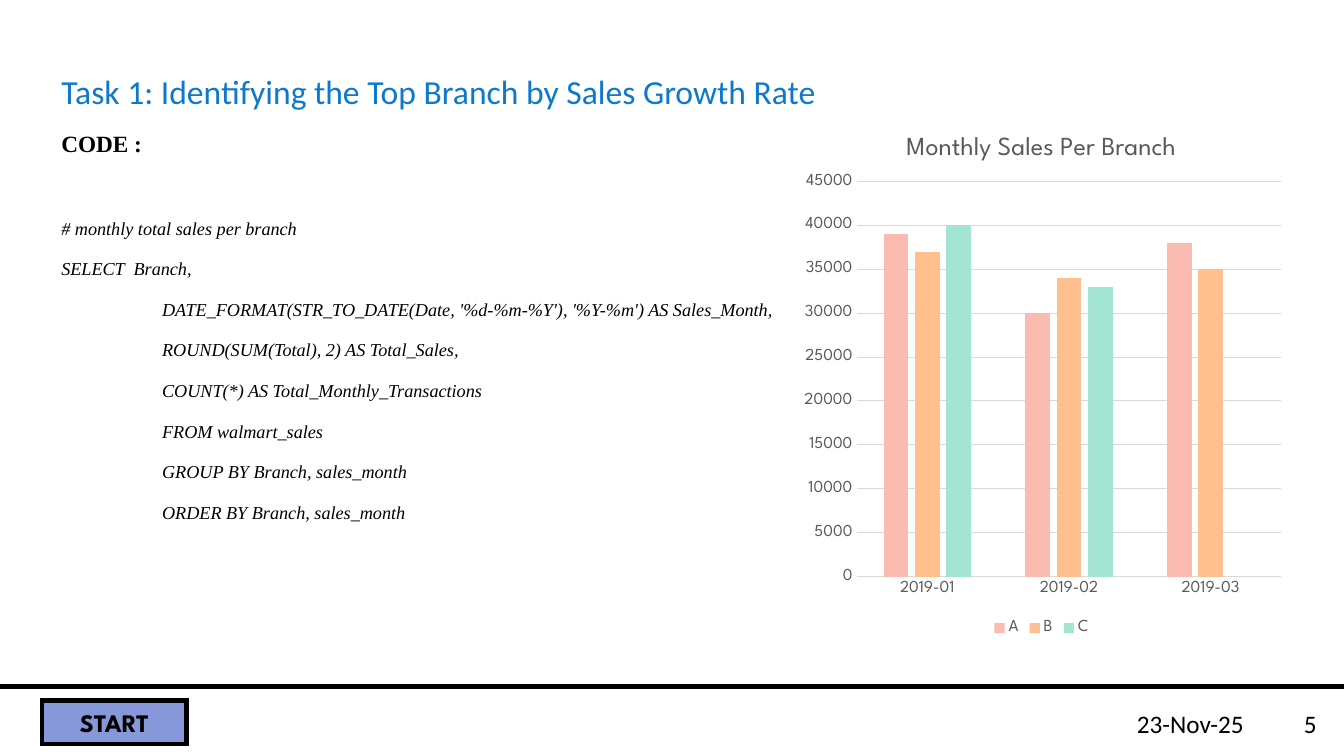
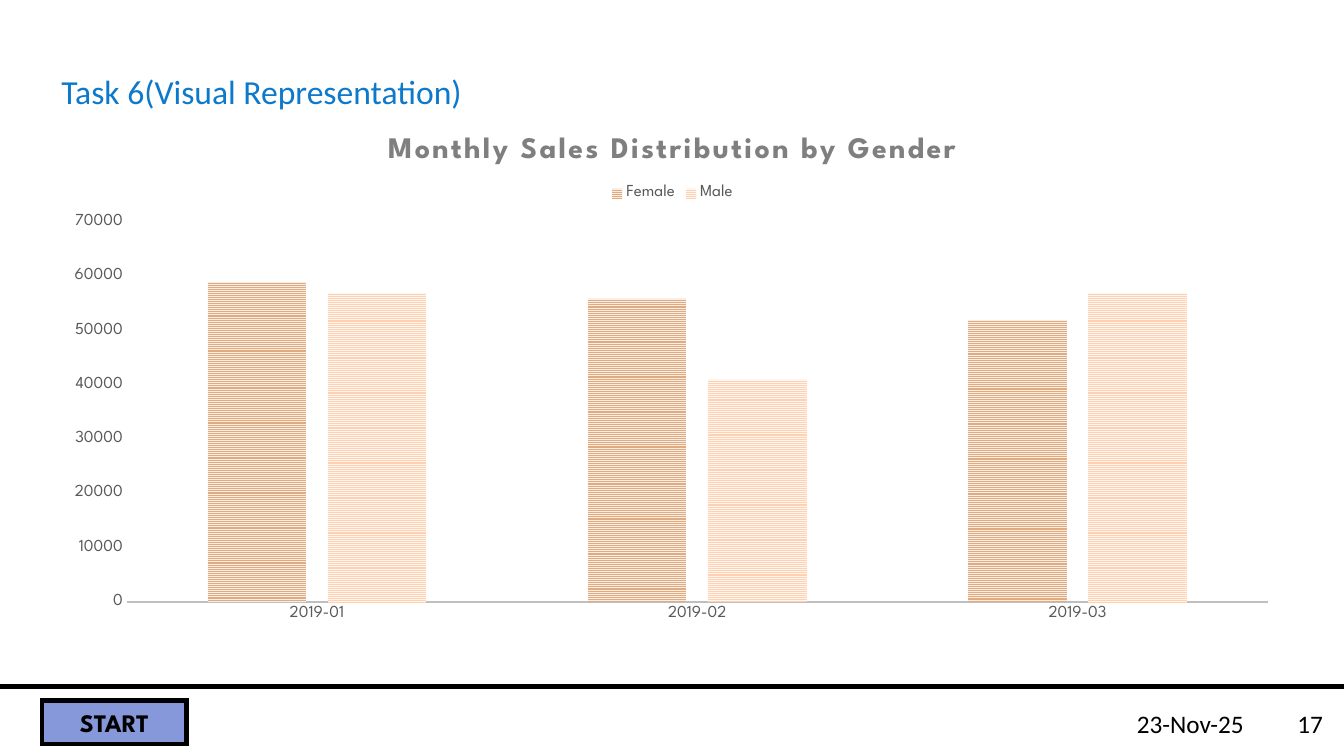
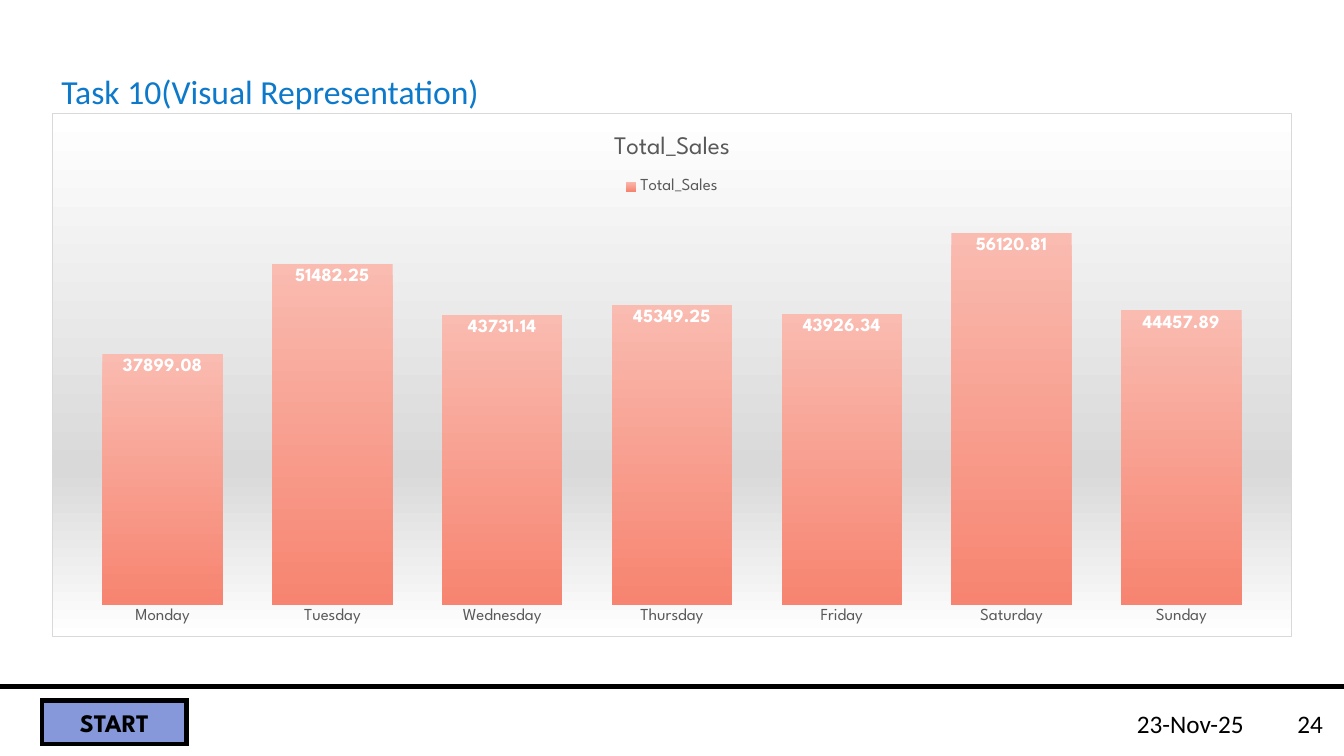
from lxml import etree
from pptx import Presentation
from pptx.chart.data import CategoryChartData
from pptx.dml.color import RGBColor
from pptx.enum.chart import XL_CHART_TYPE, XL_LABEL_POSITION, XL_LEGEND_POSITION, XL_TICK_MARK
from pptx.enum.dml import MSO_PATTERN
from pptx.enum.shapes import MSO_CONNECTOR, MSO_SHAPE
from pptx.enum.text import MSO_ANCHOR, MSO_AUTO_SIZE, PP_ALIGN
from pptx.oxml import parse_xml
from pptx.oxml.ns import nsdecls, qn
from pptx.util import Inches, Pt

COLUMN = XL_CHART_TYPE.COLUMN_CLUSTERED
TOP, BOTTOM = XL_LEGEND_POSITION.TOP, XL_LEGEND_POSITION.BOTTOM
NO_TICK = XL_TICK_MARK.NONE
LEFT, CENTER = PP_ALIGN.LEFT, PP_ALIGN.CENTER
MIDDLE = MSO_ANCHOR.MIDDLE

BLACK = RGBColor(0x00, 0x00, 0x00)
WHITE = RGBColor(0xFF, 0xFF, 0xFF)
BLUE = RGBColor(0x0D, 0x79, 0xCA)
VIOLET = RGBColor(0x86, 0x98, 0xDA)
GREY = RGBColor(0x59, 0x59, 0x59)
MID = RGBColor(0x7F, 0x7F, 0x7F)
SILVER = RGBColor(0xBF, 0xBF, 0xBF)
PALE = RGBColor(0xD9, 0xD9, 0xD9)
PINK = RGBColor(0xFA, 0xBB, 0xB0)
CORAL = RGBColor(0xF6, 0x84, 0x70)
PEACH = RGBColor(0xFF, 0xBF, 0x8F)
MINT = RGBColor(0xA4, 0xE4, 0xD2)
TAN = RGBColor(0xE2, 0xAA, 0x7F)
CREAM = RGBColor(0xF9, 0xEE, 0xE5)
SAND = RGBColor(0xFF, 0xD0, 0xB1)
IVORY = RGBColor(0xFF, 0xF6, 0xEF)

BODY, BRAND, SERIF = "Calibri", "League Spartan", "Times New Roman"
MONTHS = ["2019-01", "2019-02", "2019-03"]
DAYS = ["Monday", "Tuesday", "Wednesday", "Thursday", "Friday", "Saturday", "Sunday"]

# Plot areas are fractions of the chart: left, top, width, height.
PAGES = [
    dict(head="Task 1: Identifying the Top Branch by Sales Growth Rate", page="5",
         name="Monthly Sales Per Branch", style=dict(size=18.6, color=GREY),
         box=(7.85, 1.12, 4.96, 5.23), plot=(0.13, 0.13, 0.85, 0.75),
         cats=MONTHS, top=45000, gap=219, lap=-27, legend=BOTTOM,
         series={"A": (39000, 30000, 38000), "B": (37000, 34000, 35000),
                 "C": (40000, 33000, None)}),
    dict(head="Task 6(Visual Representation)", page="17",
         name="Monthly Sales Distribution by Gender",
         style=dict(size=21.3, color=MID, bold=True, space=180),
         box=(0.52, 1.12, 12.3, 5.16), plot=(0.06, 0.21, 0.92, 0.73),
         cats=MONTHS, top=70000, gap=164, lap=-22, legend=TOP,
         series={"Female": (59000, 56000, 52000), "Male": (57000, 41000, 57000)}),
    dict(head="Task 10(Visual Representation)", page="24",
         name="Total_Sales", style=dict(size=18, color=GREY),
         box=(0.52, 1.12, 12.29, 5.2), plot=(0.02, 0.18, 0.96, 0.76),
         cats=DAYS, top=60000, gap=41, lap=0, legend=TOP,
         series={"Total_Sales": (37899.08, 51482.25, 43731.14, 45349.25,
                                 43926.34, 56120.81, 44457.89)}),
]
CODE = [
    "# monthly total sales per branch",
    "SELECT  Branch,",
    "\tDATE_FORMAT(STR_TO_DATE(Date, '%d-%m-%Y'), '%Y-%m') AS Sales_Month,",
    "\tROUND(SUM(Total), 2) AS Total_Sales,",
    "\tCOUNT(*) AS Total_Monthly_Transactions",
    "\tFROM walmart_sales",
    "\tGROUP BY Branch, sales_month",
    "\tORDER BY Branch, sales_month",
]
CLEAR = "<a:noFill/><a:ln><a:noFill/></a:ln>"
SHADE = (
    '<a:gradFill><a:gsLst>'
    '<a:gs pos="0"><a:srgbClr val="FFFFFF"/></a:gs>'
    '<a:gs pos="68000"><a:srgbClr val="D9D9D9"/></a:gs>'
    '<a:gs pos="100000"><a:srgbClr val="FFFFFF"/></a:gs>'
    '</a:gsLst><a:lin ang="5400000" scaled="0"/></a:gradFill>'
    '<a:ln w="9525"><a:solidFill><a:srgbClr val="D9D9D9"/></a:solidFill></a:ln>'
)


def write(para, text, size=18, font=BODY, color=BLACK, bold=False, italic=False,
          align=None, line=None, before=None, space=None, tab=None):
    """Add one formatted run to a paragraph; space is tracking in 1/100 pt."""
    if align is not None:
        para.alignment = align
    if line is not None:
        para.line_spacing = line
    if before is not None:
        para.space_before = before
    if tab is not None:
        tabs = etree.SubElement(para._p.get_or_add_pPr(), qn("a:tabLst"))
        etree.SubElement(tabs, qn("a:tab"), pos=str(tab), algn="l")
    run = para.add_run()
    run.text = text
    run.font.size, run.font.name = Pt(size), font
    run.font.bold, run.font.italic = bold, italic
    run.font.color.rgb = color
    if space is not None:
        run.font._element.set("spc", str(space))


def dress(chart, plot, area):
    """Fix the inner plot area and the chart background."""
    parts = "".join(f'<c:{tag} val="{val}"/>' for tag, val in zip("xywh", plot))
    inner = parse_xml(
        f'<c:layout {nsdecls("c")}><c:manualLayout><c:layoutTarget val="inner"/>'
        f'<c:xMode val="edge"/><c:yMode val="edge"/>{parts}</c:manualLayout></c:layout>')
    root = chart.element.find(qn("c:chart"))
    zone = root.find(qn("c:plotArea"))
    for old in zone.findall(qn("c:layout")):
        zone.remove(old)
    zone.insert(0, inner)
    root.addnext(parse_xml(f'<c:spPr {nsdecls("c", "a")}>{area}</c:spPr>'))


deck = Presentation()
deck.slide_width, deck.slide_height = Inches(13.33), Inches(7.5)
layout = deck.slide_layouts[5]
slides, charts = [], []

for page in PAGES:
    slide = deck.slides.add_slide(layout)
    shapes = slide.shapes

    # Footer
    rule = shapes.add_connector(MSO_CONNECTOR.STRAIGHT, 0, Inches(6.81),
                                Inches(13.33), Inches(6.81))
    rule.line.color.rgb, rule.line.width = BLACK, Pt(3)
    etree.SubElement(rule._element.spPr, qn("a:effectLst"))

    start = shapes.add_shape(MSO_SHAPE.RECTANGLE, Inches(0.42), Inches(6.95),
                             Inches(1.43), Inches(0.43))
    start.shadow.inherit = False
    start.fill.solid()
    start.fill.fore_color.rgb = VIOLET
    start.line.color.rgb, start.line.width = BLACK, Pt(3)
    etree.SubElement(start.line._get_or_add_ln(), qn("a:miter"), lim="800000")
    start.text_frame.vertical_anchor = MIDDLE
    write(start.text_frame.paragraphs[0], "START", font=BRAND, bold=True, align=CENTER)

    for text, left, width in (("23-Nov-25", 10.95, 1.71), (page["page"], 12.66, 0.67)):
        frame = shapes.add_textbox(Inches(left), Inches(6.81),
                                   Inches(width), Inches(0.69)).text_frame
        frame.word_wrap = True
        frame.vertical_anchor = MIDDLE
        frame.margin_top = Inches(0.1)
        write(frame.paragraphs[0], text, align=CENTER)

    # Title
    title = shapes.title
    title.left, title.top = Inches(0.51), Inches(0.58)
    title.width, title.height = Inches(12.3), Inches(0.54)
    frame = title.text_frame
    frame.auto_size = MSO_AUTO_SIZE.NONE
    frame.vertical_anchor = MIDDLE
    frame.margin_top, frame.margin_bottom = Inches(0.2), Inches(0.05)
    write(frame.paragraphs[0], page["head"], size=24, color=BLUE, align=LEFT, line=0.9)

    # Chart
    data = CategoryChartData()
    data.categories = page["cats"]
    for name, vals in page["series"].items():
        data.add_series(name, vals)
    chart = shapes.add_chart(COLUMN, *map(Inches, page["box"]), data).chart
    chart.font.size, chart.font.name = Pt(12), BRAND
    chart.font.color.rgb = GREY
    chart.has_title = True
    write(chart.chart_title.text_frame.paragraphs[0], page["name"],
          font=BRAND, **page["style"])
    chart.has_legend = True
    chart.legend.position = page["legend"]
    chart.legend.include_in_layout = False
    bars = chart.plots[0]
    bars.gap_width, bars.overlap = page["gap"], page["lap"]
    bars.vary_by_categories = False
    for axis in (chart.category_axis, chart.value_axis):
        axis.major_tick_mark = axis.minor_tick_mark = NO_TICK
        axis.has_major_gridlines = False
        axis.format.line.fill.background()
    chart.value_axis.minimum_scale = 0
    chart.value_axis.maximum_scale = page["top"]
    dress(chart, page["plot"], SHADE if page["cats"] is DAYS else CLEAR)
    slides.append(slide)
    charts.append(chart)

branch, gender, daily = charts

# Branch slide: query beside the chart
frame = slides[0].shapes.add_textbox(Inches(0.51), Inches(1.25),
                                     Inches(7.34), Inches(4.03)).text_frame
frame.word_wrap = True
write(frame.paragraphs[0], "CODE :", size=16.6, font=SERIF, bold=True, line=Pt(19))
for row, text in enumerate(CODE):
    write(frame.add_paragraph(), text, size=13, font=SERIF, italic=True,
          line=Pt(19), before=Pt(10 if row else 39), tab=Inches(1))

for series, color in zip(branch.series, (PINK, PEACH, MINT)):
    series.format.fill.solid()
    series.format.fill.fore_color.rgb = color
branch.value_axis.has_major_gridlines = True
for line in (branch.category_axis.format.line,
             branch.value_axis.major_gridlines.format.line):
    line.color.rgb, line.width = PALE, Pt(0.75)

# Gender slide: striped bars
for series, (fore, back) in zip(gender.series, ((TAN, CREAM), (SAND, IVORY))):
    fill = series.format.fill
    fill.patterned()
    fill.pattern = MSO_PATTERN.NARROW_HORIZONTAL
    fill.fore_color.rgb, fill.back_color.rgb = fore, back
line = gender.category_axis.format.line
line.color.rgb, line.width = SILVER, Pt(1.5)

# Daily slide: shaded bars with values
daily.value_axis.visible = False
fill = daily.series[0].format.fill
fill.gradient()
fill.gradient_angle = 270
for stop, color in zip(fill.gradient_stops, (PINK, CORAL)):
    stop.color.rgb = color
labels = daily.series[0].data_labels
labels.show_value = True
labels.position = XL_LABEL_POSITION.INSIDE_END
labels.font.size, labels.font.name, labels.font.bold = Pt(13.3), BRAND, True
labels.font.color.rgb = WHITE

deck.save("out.pptx")
